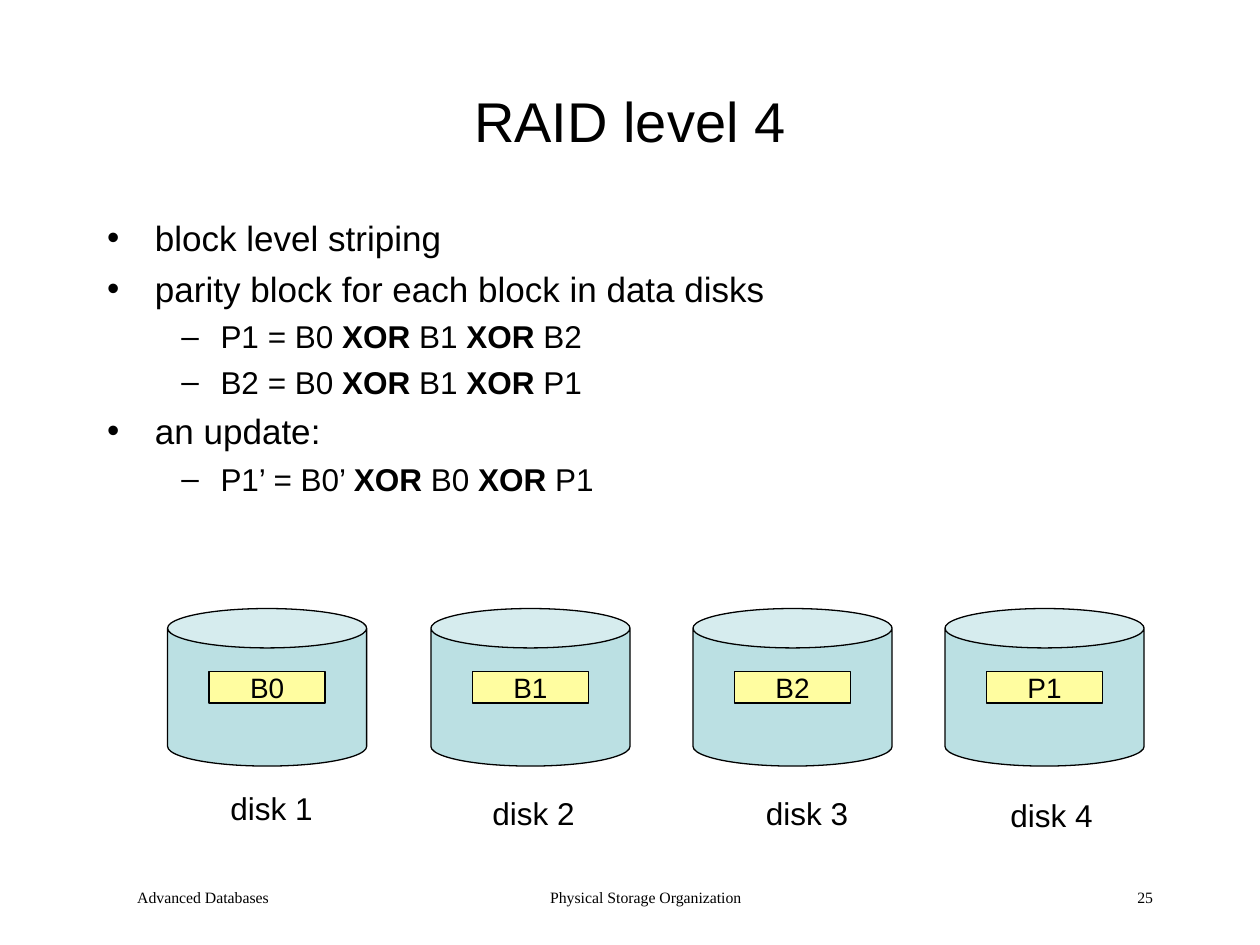
from pptx import Presentation
from pptx.dml.color import RGBColor
from pptx.enum.shapes import MSO_SHAPE as Shape
from pptx.enum.text import MSO_ANCHOR as Anchor, MSO_AUTO_SIZE as AutoSize, PP_ALIGN as Align
from pptx.util import Inches, Pt

BLACK, DISK_FILL, BLOCK_FILL = "000000", "BBE0E3", "FFFDA0"
BULLETS = [
    (0, "block level striping"),
    (0, "parity block for each block in data disks"),
    (1, "P1 = B0 XOR B1 XOR B2"),
    (1, "B2 = B0 XOR B1 XOR P1"),
    (0, "an update:"),
    (1, "P1’ = B0’ XOR B0 XOR P1"),
]
LEVELS = [
    {"size": 20, "before": 5, "margin": 0.38, "indent": -0.38},
    {"size": 18, "before": 4.5, "margin": 0.9, "indent": -0.31},
]
# disk left edge, block name, label offset from the disk's left and top
DISKS = [
    (1.33, "B0", 0.40, 1.38),
    (3.42, "B1", 0.39, 1.42),
    (5.5, "B2", 0.48, 1.42),
    (7.5, "P1", 0.42, 1.44),
]
DISK_TOP = 4.83
FOOTERS = [
    (0.75, 2.08, "Advanced Databases", Align.LEFT),
    (3.42, 3.17, "Physical Storage Organization", Align.CENTER),
    (7.17, 2.08, "25", Align.RIGHT),
]


def rgb(value):
    return RGBColor.from_string(value)


def add_run(p, text, size, name="Arial", bold=False):
    r = p.add_run()
    r.text = text
    for key, value in {"size": Pt(size), "name": name, "bold": bold}.items():
        setattr(r.font, key, value)
    r.font.color.rgb = rgb(BLACK)


def set_indent(p, margin, first=0):
    """Set the left margin and first-line indent, in inches."""
    pPr = p._p.get_or_add_pPr()
    pPr.set("marL", str(Inches(margin)))
    pPr.set("indent", str(Inches(first)))


def place(sp, x, y, w, h):
    values = {"left": x, "top": y, "width": w, "height": h}
    for key, value in values.items():
        setattr(sp, key, Inches(value))


def format_frame(tf, anchor=Anchor.TOP, wrap=True, auto_size=AutoSize.NONE):
    values = {"vertical_anchor": anchor, "word_wrap": wrap, "auto_size": auto_size}
    for key, value in values.items():
        setattr(tf, key, value)


def add_outlined(slide, kind, x, y, w, h, fill):
    sp = slide.shapes.add_shape(kind, Inches(x), Inches(y), Inches(w), Inches(h))
    sp.shadow.inherit = False
    sp.fill.solid()
    sp.fill.fore_color.rgb = rgb(fill)
    sp.line.color.rgb = rgb(BLACK)
    sp.line.width = Pt(0.75)
    return sp


def add_text(slide, x, y, w, h):
    return slide.shapes.add_textbox(Inches(x), Inches(y), Inches(w), Inches(h)).text_frame


def fill_title(sp, x, y, w, h):
    place(sp, x, y, w, h)
    format_frame(sp.text_frame, Anchor.MIDDLE)
    p = sp.text_frame.paragraphs[0]
    p.alignment = Align.CENTER
    add_run(p, "RAID level 4", 32)


def fill_body(sp, x, y, w, h):
    place(sp, x, y, w, h)
    tf = sp.text_frame
    format_frame(tf)
    for i, (level, text) in enumerate(BULLETS):
        p = tf.add_paragraph() if i else tf.paragraphs[0]
        style = LEVELS[level]
        p.level = level
        p.space_before = Pt(style["before"])
        set_indent(p, style["margin"], style["indent"])
        for j, part in enumerate(text.split("XOR")):
            if j:
                add_run(p, "XOR", style["size"], bold=True)
            add_run(p, part, style["size"])


def add_disk(slide, x, y, block, label, label_dx, label_dy):
    add_outlined(slide, Shape.CAN, x, y, 1.58, 1.25, DISK_FILL)
    sp = add_outlined(slide, Shape.RECTANGLE, x + 0.33, y + 0.5, 0.92, 0.25, BLOCK_FILL)
    format_frame(sp.text_frame, Anchor.MIDDLE, wrap=False)
    p = sp.text_frame.paragraphs[0]
    p.alignment = Align.CENTER
    add_run(p, block, 16)
    tf = add_text(slide, x + label_dx, y + label_dy, 0.85, 0.4)
    format_frame(tf, wrap=False, auto_size=AutoSize.SHAPE_TO_FIT_TEXT)
    add_run(tf.paragraphs[0], label, 18)


def add_footer(slide, y, h):
    for x, w, text, align in FOOTERS:
        tf = add_text(slide, x, y, w, h)
        format_frame(tf)
        p = tf.paragraphs[0]
        p.alignment = align
        set_indent(p, 0.24)
        add_run(p, text, 9, "Times New Roman")


def main():
    prs = Presentation()
    prs.slide_width, prs.slide_height = Inches(10), Inches(7.5)
    slide = prs.slides.add_slide(prs.slide_layouts[1])
    fill_title(slide.shapes.title, 0.75, 0.33, 8.5, 1.25)
    fill_body(slide.placeholders[1], 0.75, 1.67, 8.5, 5.17)
    for number, (x, block, dx, dy) in enumerate(DISKS, 1):
        add_disk(slide, x, DISK_TOP, block, f"disk {number}", dx, dy)
    add_footer(slide, 7, 0.33)
    prs.save("out.pptx")


if __name__ == "__main__":
    main()
